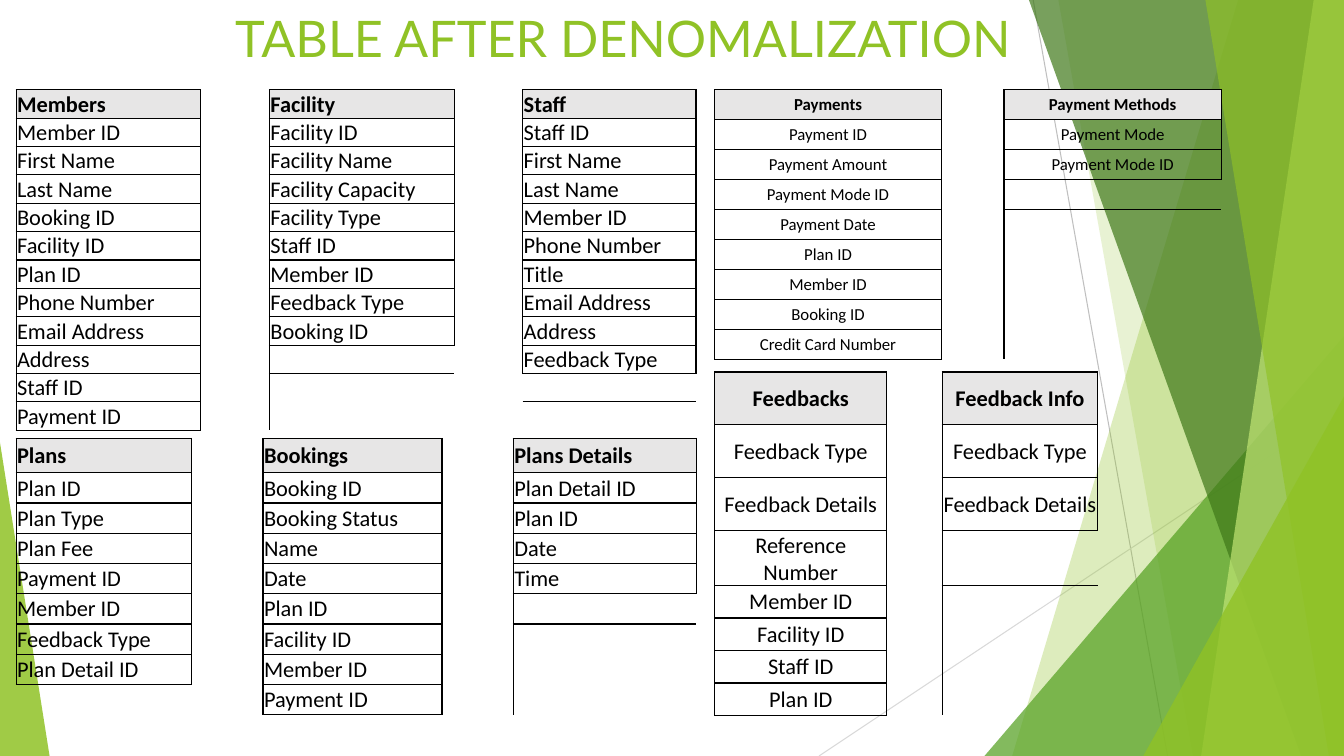
from dataclasses import dataclass

from lxml.etree import SubElement
from pptx import Presentation
from pptx.dml.color import RGBColor
from pptx.enum.shapes import MSO_CONNECTOR as Connector, MSO_SHAPE as Shape
from pptx.enum.text import MSO_ANCHOR as Anchor, PP_ALIGN as Align
from pptx.oxml.ns import qn
from pptx.util import Inches, Pt

COLUMNS, ROWS = 160, 90


@dataclass(frozen=True)
class Theme:
    """Colours, fonts and type sizes of the slide."""
    lime: str = "90C226"
    green: str = "54A021"
    forest: str = "3F7819"
    pale: str = "C0E474"
    grey: str = "BFBFBF"
    light_grey: str = "D9D9D9"
    header: str = "E7E6E6"
    ink: str = "000000"
    title_font: str = "Lato"
    body_font: str = "Calibri"
    title_size: int = 36
    body_size: int = 16
    small_size: int = 12
    line_width: float = 0.75
    border_width: int = 1
    cell_inset: float = 0.12


THEME = Theme()
PLAIN_TABLE = "{2D5ABB26-0587-4C30-8999-92F81FD0307C}"

RAYS = [((123, 0), (139, 90), THEME.grey), ((160, 48.4), (97.5, 90), THEME.light_grey)]
BACK_FACETS = [(147.4, 120.5, THEME.lime, 30), (126, 142, THEME.lime, 20)]
FRONT_FACETS = [(122.5, 154.9, THEME.forest, 70), (156.4, 143, THEME.pale, 70),
                (143.5, 158.2, THEME.lime, 65)]

MEMBERS = ["Members", "Member ID", "First Name", "Last Name", "Booking ID", "Facility ID",
           "Plan ID", "Phone Number", "Email Address", "Address", "Staff ID", "Payment ID"]
FACILITY = ["Facility", "Facility ID", "Facility Name", "Facility Capacity", "Facility Type",
            "Staff ID", "Member ID", "Feedback Type", "Booking ID"]
STAFF = ["Staff", "Staff ID", "First Name", "Last Name", "Member ID", "Phone Number",
         "Title", "Email Address", "Address", "Feedback Type"]
PLANS = ["Plans", "Plan ID", "Plan Type", "Plan Fee", "Payment ID", "Member ID",
         "Feedback Type", "Plan Detail ID"]
BOOKINGS = ["Bookings", "Booking ID", "Booking Status", "Name", "Date", "Plan ID",
            "Facility ID", "Member ID", "Payment ID"]
PLANS_DETAILS = ["Plans Details", "Plan Detail ID", "Plan ID", "Date", "Time"]
PAYMENTS = ["Payments", "Payment ID", "Payment Amount", "Payment Mode ID", "Payment Date",
            "Plan ID", "Member ID", "Booking ID", "Credit Card Number"]
PAYMENT_METHODS = ["Payment Methods", "Payment Mode", "Payment Mode ID"]
FEEDBACKS = ["Feedbacks", "Feedback Type", "Feedback Details", "Reference Number",
             "Member ID", "Facility ID", "Staff ID", "Plan ID"]
FEEDBACK_INFO = ["Feedback Info", "Feedback Type", "Feedback Details"]


def grid(units):
    """Turn grid units into a length."""
    return Inches(units / 12)


def write_text(frame, text, *, size, font, color, bold=False, align=Align.LEFT, inset=0):
    """Write one formatted paragraph, or size an empty one."""
    frame.word_wrap = True
    frame.vertical_anchor = Anchor.MIDDLE
    frame.margin_left = frame.margin_right = frame.margin_top = grid(inset)
    frame.margin_bottom = 0
    paragraph = frame.paragraphs[0]
    paragraph.alignment = align
    if not text:
        paragraph._p.get_or_add_endParaRPr().set("sz", str(size * 100))
        return
    run = paragraph.add_run()
    run.text = text
    run.font.size = Pt(size)
    run.font.name = font
    run.font.bold = bold
    run.font.color.rgb = RGBColor.from_string(color)


def paint(shape, color, opacity):
    """Give a shape a see-through fill with no outline."""
    shape.shadow.inherit = False
    shape.line.fill.background()
    shape.fill.solid()
    shape.fill.fore_color.rgb = RGBColor.from_string(color)
    color_node = shape._element.spPr.find(qn("a:solidFill"))[0]
    SubElement(color_node, qn("a:alpha"), val=str(opacity * 1000))


def add_ray(slide, start, end, color):
    """Draw one thin line across the backdrop."""
    ends = [grid(value) for value in (*start, *end)]
    ray = slide.shapes.add_connector(Connector.STRAIGHT, *ends)
    ray.line.color.rgb = RGBColor.from_string(color)
    ray.line.width = Pt(THEME.line_width)
    SubElement(ray._element.spPr, qn("a:effectLst"))


def add_facet(slide, top_x, bottom_x, color, opacity):
    """Fill the area between a slanted edge and the right side of the slide."""
    builder = slide.shapes.build_freeform(grid(top_x), 0)
    corners = [(COLUMNS, 0), (COLUMNS, ROWS), (bottom_x, ROWS)]
    builder.add_line_segments([(grid(x), grid(y)) for x, y in corners])
    paint(builder.convert_to_shape(), color, opacity)


def add_wedge(slide, left, top, right, apex, color, opacity):
    """Stand a right-angled triangle on the bottom edge of the slide."""
    wedge = slide.shapes.add_shape(
        Shape.ISOSCELES_TRIANGLE, grid(left), grid(top), grid(right - left), grid(ROWS - top))
    wedge.adjustments[0] = apex
    paint(wedge, color, opacity)


def add_backdrop(slide):
    """Draw the green facets behind the content."""
    for ray in RAYS:
        add_ray(slide, *ray)
    for facet in BACK_FACETS:
        add_facet(slide, *facet)
    add_wedge(slide, 117.2, 40, COLUMNS, 1, THEME.green, 72)
    for facet in FRONT_FACETS:
        add_facet(slide, *facet)
    add_wedge(slide, 136.1, 47.2, COLUMNS, 1, THEME.lime, 80)
    add_wedge(slide, 0, 52.7, 5.9, 0, THEME.lime, 85)


def add_title(slide, box, text):
    """Place the slide title in its box."""
    title = slide.shapes.add_textbox(*[grid(value) for value in box])
    write_text(title.text_frame, text, size=THEME.title_size, font=THEME.title_font,
               color=THEME.lime, align=Align.CENTER)


def add_border(cell, side):
    """Draw one side of a cell."""
    line = SubElement(cell._tc.get_or_add_tcPr(), qn(f"a:ln{side}"),
                      w=str(Pt(THEME.border_width)))
    fill = SubElement(line, qn("a:solidFill"))
    SubElement(fill, qn("a:srgbClr"), val=THEME.ink)


def add_entities(slide, origin, entities, widths, heights, size=THEME.body_size,
                 align=Align.LEFT):
    """Build one table whose entity columns are parted by empty columns."""
    left, top = origin
    frame = slide.shapes.add_table(len(heights), len(widths), grid(left), grid(top),
                                   grid(sum(widths)), grid(sum(heights)))
    table = frame.table
    table.first_row = table.horz_banding = False
    table._tbl.tblPr.find(qn("a:tableStyleId")).text = PLAIN_TABLE
    for column, width in zip(table.columns, widths):
        column.width = grid(width)
    for row, height in zip(table.rows, heights):
        row.height = grid(height)
    texts = {(row, 2 * index): text for index, entity in enumerate(entities)
             for row, text in enumerate(entity)}
    for row in range(len(heights)):
        for column in range(len(widths)):
            cell = table.cell(row, column)
            neighbours = {"L": (row, column - 1), "R": (row, column + 1),
                          "T": (row - 1, column), "B": (row + 1, column)}
            for side, neighbour in neighbours.items():
                if (row, column) in texts or neighbour in texts:
                    add_border(cell, side)
            text = texts.get((row, column), "")
            write_text(cell.text_frame, text, size=size, font=THEME.body_font,
                       color=THEME.ink, bold=row == 0, align=align)
            cell.vertical_anchor = Anchor.MIDDLE
            cell.margin_left = cell.margin_right = cell.margin_top = grid(THEME.cell_inset)
            cell.margin_bottom = 0
            if text and row == 0:
                cell.fill.solid()
                cell.fill.fore_color.rgb = RGBColor.from_string(THEME.header)
            else:
                cell.fill.background()


def main():
    """Build and save the slide."""
    presentation = Presentation()
    presentation.slide_width, presentation.slide_height = grid(COLUMNS), grid(ROWS)
    slide = presentation.slides.add_slide(presentation.slide_layouts[6])
    add_backdrop(slide)
    add_title(slide, (22.8, 0, 104.3, 9), "TABLE AFTER DENOMALIZATION ")
    add_entities(slide, (1.92, 10.68), [MEMBERS, FACILITY, STAFF],
                 [22, 8.16, 22, 8.16, 20.64], [3.38] * 12)
    add_entities(slide, (1.92, 52.2), [PLANS, BOOKINGS, PLANS_DETAILS],
                 [20.9, 8.5, 21.3, 8.5, 21.8], [4.08] + [3.6] * 8)
    add_entities(slide, (85.08, 10.68), [PAYMENTS, PAYMENT_METHODS],
                 [27, 7.44, 25.9], [3.57] * 9, THEME.small_size, Align.CENTER)
    add_entities(slide, (85.08, 44.28), [FEEDBACKS, FEEDBACK_INFO],
                 [20.5, 6.6, 18.5], [6.3] * 4 + [3.87] * 4, align=Align.CENTER)
    presentation.save("out.pptx")


if __name__ == "__main__":
    main()
